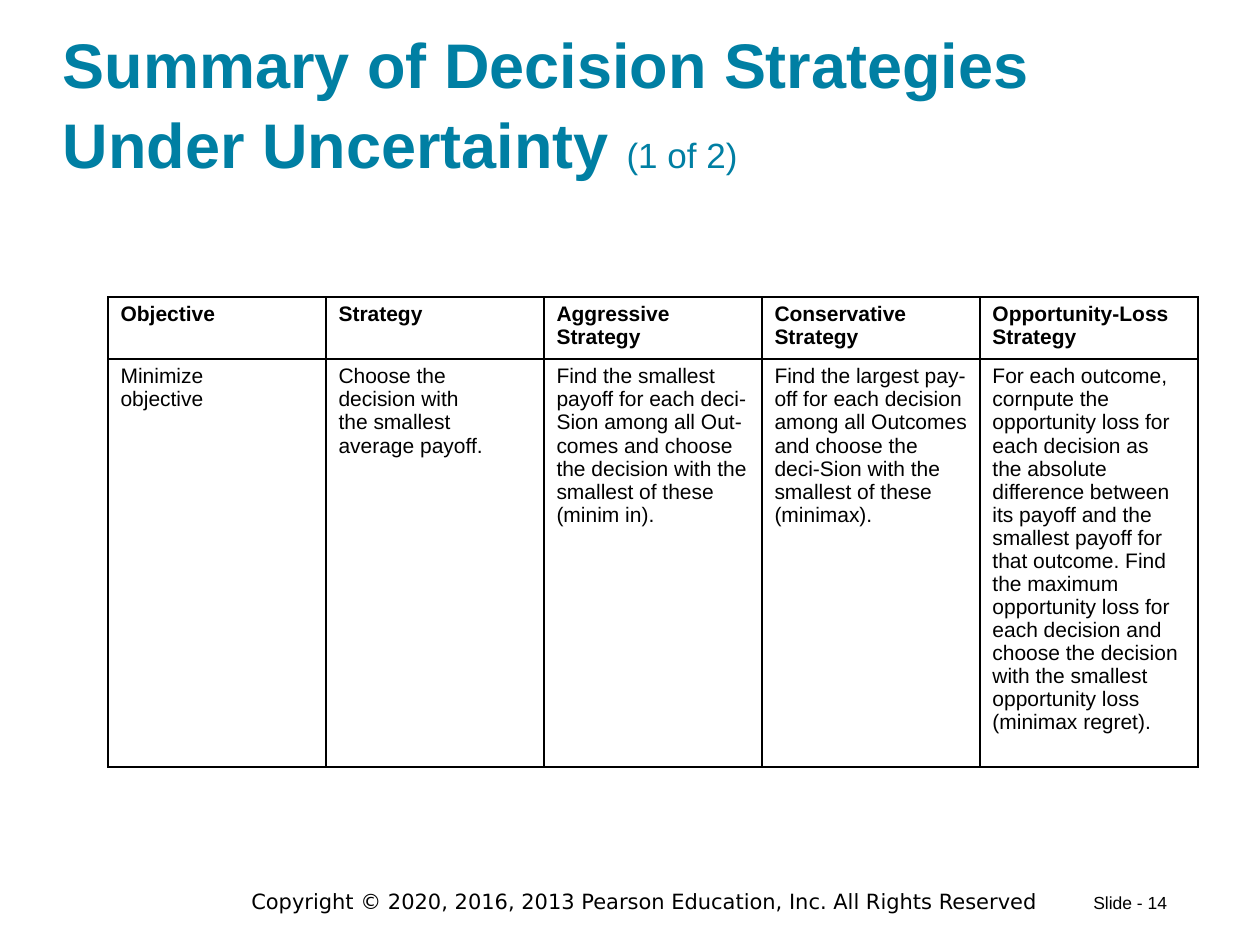
from dataclasses import dataclass

from lxml import etree
from pptx import Presentation
from pptx import util as u
from pptx.dml.color import RGBColor
from pptx.enum import text
from pptx.oxml import ns

PX = 914400 / 126


def px(length):
    """Turn whole pixels into EMU."""
    return u.Emu(round(length * PX))


@dataclass(frozen=True)
class Theme:
    """Colours, fonts and type sizes of the deck."""
    accent: str = "007FA3"
    ink: str = "000000"
    body_font: str = "Arial"
    notice_font: str = "DejaVu Sans"
    title_size: int = 36
    part_size: int = 20
    body_size: int = 12
    number_size: int = 10
    border: float = 1


class SlideBuilder:
    """Holds the theme and the current slide."""

    def __init__(self, theme, slide):
        """Keep the theme and the slide."""
        self.theme = theme
        self.slide = slide

    def style(self, run, size, color=None, font=None, bold=False):
        """Format one run."""
        run.font.size = u.Pt(size)
        run.font.bold = bold
        run.font.name = font or self.theme.body_font
        run.font.color.rgb = RGBColor.from_string(color or self.theme.ink)

    def box(self, left, top, width, height):
        """Add a wrapping text box and return its frame."""
        frame = self.slide.shapes.add_textbox(*map(px, (left, top, width, height))).text_frame
        frame.word_wrap = True
        return frame

    def title(self, heading, part):
        """Add the bottom-anchored title with its part number."""
        frame = self.box(63, 30, 1134, 151)
        frame.margin_left = frame.margin_right = frame.margin_top = frame.margin_bottom = 0
        frame.vertical_anchor = text.MSO_ANCHOR.BOTTOM
        line = frame.paragraphs[0]
        line.line_spacing = 1.05
        sizes = (self.theme.title_size, self.theme.part_size)
        for words, size, bold in zip((heading, part), sizes, (True, False)):
            run = line.add_run()
            run.text = words
            self.style(run, size, self.theme.accent, bold=bold)

    def footer(self, words, area, size, font=None, align=text.PP_ALIGN.LEFT):
        """Add one line of footer text."""
        frame = self.box(*area)
        frame.text = words
        line = frame.paragraphs[0]
        line.alignment = align
        self.style(line.runs[0], size, font=font)

    def borders(self, cell):
        """Draw a solid line on all four sides of a cell."""
        properties = cell._tc.get_or_add_tcPr()
        for index, side in enumerate(("lnL", "lnR", "lnT", "lnB")):
            line = etree.Element(ns.qn(f"a:{side}"), w=str(u.Pt(self.theme.border)))
            fill = etree.SubElement(line, ns.qn("a:solidFill"))
            etree.SubElement(fill, ns.qn("a:srgbClr"), val=self.theme.ink)
            properties.insert(index, line)

    def table(self, rows, left, top, column_width, row_heights):
        """Add a bordered table with a bold header row."""
        columns = len(rows[0])
        grid = self.slide.shapes.add_table(
            len(rows), columns, px(left), px(top),
            px(column_width * columns), px(sum(row_heights))).table
        grid.horz_banding = False
        for column in grid.columns:
            column.width = px(column_width)
        for index, (entries, height) in enumerate(zip(rows, row_heights)):
            grid.rows[index].height = px(height)
            for cell, entry in zip(grid.rows[index].cells, entries):
                cell.text_frame.text = entry
                cell.fill.background()
                self.borders(cell)
                for line in cell.text_frame.paragraphs:
                    line.line_spacing = 0.98
                    self.style(line.runs[0], self.theme.body_size, bold=index == 0)


STRATEGIES = [
    ("Objective", "Strategy", "Aggressive Strategy", "Conservative Strategy",
     "Opportunity-Loss Strategy"),
    ("Minimize\nobjective",
     "Choose the\ndecision with\nthe smallest\naverage payoff.",
     "Find the smallest\npayoff for each deci-\nSion among all Out-\ncomes and choose\n"
     "the decision with the\nsmallest of these\n(minim in).",
     "Find the largest pay-\noff for each decision\namong all Outcomes\n"
     "and choose the deci-Sion with the smallest of these (minimax).",
     "For each outcome, cornpute the\nopportunity loss for each decision as\n"
     "the absolute difference between its payoff and the smallest payoff for "
     "that outcome. Find the maximum opportunity loss for each decision and\n"
     "choose the decision with the smallest\nopportunity loss (minimax regret)."),
]


def main():
    """Build the slide and save it."""
    deck = Presentation()
    deck.slide_width, deck.slide_height = px(1260), px(945)
    theme = Theme()
    builder = SlideBuilder(theme, deck.slides.add_slide(deck.slide_layouts[6]))
    builder.footer("Copyright © 2020, 2016, 2013 Pearson Education, Inc. All Rights Reserved",
                   (230, 882, 829, 38), theme.body_size, theme.notice_font,
                   text.PP_ALIGN.CENTER)
    builder.footer("Slide - 14", (1081, 886, 102, 34), theme.number_size)
    builder.title("Summary of Decision Strategies Under Uncertainty ", "(1 of 2)")
    builder.table(STRATEGIES, 108, 297, 218, (60, 389))
    deck.save("out.pptx")


if __name__ == "__main__":
    main()
